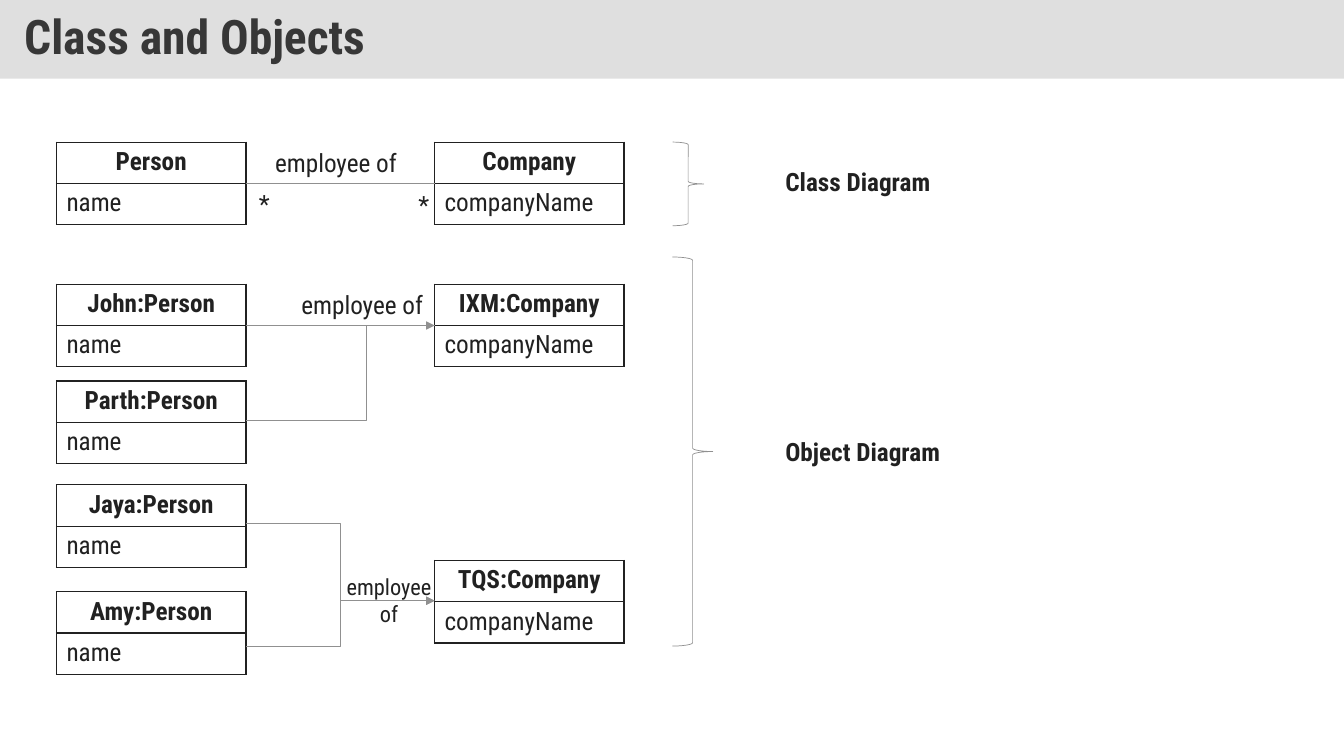
from lxml import etree
from pptx import Presentation
from pptx.dml.color import RGBColor
from pptx.enum.shapes import MSO_CONNECTOR, MSO_SHAPE
from pptx.enum.text import MSO_ANCHOR, MSO_AUTO_SIZE, PP_ALIGN
from pptx.oxml.ns import qn
from pptx.util import Emu, Pt

STRAIGHT, ELBOW = MSO_CONNECTOR.STRAIGHT, MSO_CONNECTOR.ELBOW
RECT, BRACE = MSO_SHAPE.RECTANGLE, MSO_SHAPE.RIGHT_BRACE
LEFT, CENTER = PP_ALIGN.LEFT, PP_ALIGN.CENTER
MIDDLE = MSO_ANCHOR.MIDDLE
FIT = MSO_AUTO_SIZE.SHAPE_TO_FIT_TEXT

SCALE = 9144
FONT = "Roboto Condensed"
COLORS = {"band": "C0C0C0", "title": "373737", "ink": "212121", "line": "909090"}
PERSON_X, FIRM_X = 56, 431
BOX_W, ROW_H = 188, 41
EDGE = PERSON_X + BOX_W


def px(*nums):
    return [Emu(num * SCALE) for num in nums]


def color(name):
    return RGBColor.from_string(COLORS[name])


def style(para, size=18, bold=False, tint="ink", align=LEFT):
    para.alignment = align
    font = para.font
    font.name, font.size, font.bold = FONT, Pt(size), bold
    font.color.rgb = color(tint)


def add_title(slide, text):
    band = slide.shapes.add_shape(RECT, *px(0, 0, 1333, 78))
    band.shadow.inherit = False
    band.fill.solid()
    band.fill.fore_color.rgb = color("band")
    fill = band.fill._xPr.find(qn("a:solidFill"))
    etree.SubElement(fill[0], qn("a:alpha"), val="50000")
    band.line.fill.background()
    frame = band.text_frame
    frame.margin_left, frame.margin_right = px(24, 24)
    frame.margin_top, frame.margin_bottom = px(12, 12)
    frame.vertical_anchor = MIDDLE
    frame.text = text
    para = frame.paragraphs[0]
    para.line_spacing = 0.9
    style(para, 34, True, "title")


def add_border(cell):
    props = cell._tc.get_or_add_tcPr()
    for side in ("lnL", "lnR", "lnT", "lnB"):
        line = etree.SubElement(props, qn(f"a:{side}"), w=str(Pt(1)))
        fill = etree.SubElement(line, qn("a:solidFill"))
        etree.SubElement(fill, qn("a:srgbClr"), val=COLORS["ink"])


def add_class(slide, x, y, name, field):
    frame = slide.shapes.add_table(2, 1, *px(x, y, BOX_W, 2 * ROW_H))
    table = frame.table
    table.first_row = table.horz_banding = False
    rows = ((name, True, CENTER), (field, False, LEFT))
    for index, (text, bold, align) in enumerate(rows):
        cell = table.cell(index, 0)
        cell.text = text
        style(cell.text_frame.paragraphs[0], bold=bold, align=align)
        add_border(cell)
        cell.fill.background()


def add_label(slide, x, y, w, h, lines, size=18, bold=False):
    box = slide.shapes.add_textbox(*px(x, y, w, h))
    frame = box.text_frame
    frame.word_wrap = False
    frame.auto_size = FIT
    frame.text = "\n".join(lines)
    for index, para in enumerate(frame.paragraphs):
        style(para, size, bold, align=CENTER if index else LEFT)


def add_link(slide, start, end, arrow=False, bend=50000):
    kind = STRAIGHT if start == end else ELBOW
    link = slide.shapes.add_connector(kind, *px(EDGE, start, FIRM_X, end))
    link.line.color.rgb = color("line")
    link.line.width = Pt(0.5)
    props = link._element.spPr
    if arrow:
        etree.SubElement(link.line._get_or_add_ln(), qn("a:tailEnd"), type="triangle")
    if kind == ELBOW:
        geom = props.find(qn("a:prstGeom"))
        guides = geom.find(qn("a:avLst"))
        etree.SubElement(guides, qn("a:gd"), name="adj1", fmla=f"val {bend}")
    etree.SubElement(props, qn("a:effectLst"))


def add_brace(slide, y, w, h):
    brace = slide.shapes.add_shape(BRACE, *px(667, y, w, h))
    brace.shadow.inherit = False
    brace.fill.background()
    brace.line.color.rgb = color("line")
    brace.line.width = Pt(0.5)


def main():
    deck = Presentation()
    deck.slide_width, deck.slide_height = px(1333, 750)
    slide = deck.slides.add_slide(deck.slide_layouts[6])
    add_title(slide, "Class and Objects")

    people = (("Person", 141), ("John:Person", 282), ("Parth:Person", 378),
              ("Jaya:Person", 481), ("Amy:Person", 587))
    for name, y in people:
        add_class(slide, PERSON_X, y, name, "name")
    firms = (("Company", 141), ("IXM:Company", 282), ("TQS:Company", 556))
    for name, y in firms:
        add_class(slide, FIRM_X, y, name, "companyName")

    add_link(slide, 182, 182)
    add_link(slide, 323, 323)
    add_link(slide, 417, 323, True, 63800)
    add_link(slide, 519, 596, True)
    add_link(slide, 641, 596, True)

    add_label(slide, 263, 141, 142, 40, ["employee of"])
    add_label(slide, 289, 282, 142, 40, ["employee of"])
    add_label(slide, 334, 564, 110, 64, ["employee", "of"], 16)
    add_label(slide, 247, 182, 31, 40, ["*"])
    add_label(slide, 405, 183, 31, 40, ["*"])

    add_brace(slide, 141, 31, 83)
    add_brace(slide, 255, 40, 386)
    add_label(slide, 769, 160, 165, 40, ["Class Diagram"], bold=True)
    add_label(slide, 769, 428, 175, 40, ["Object Diagram"], bold=True)
    deck.save("out.pptx")


if __name__ == "__main__":
    main()
